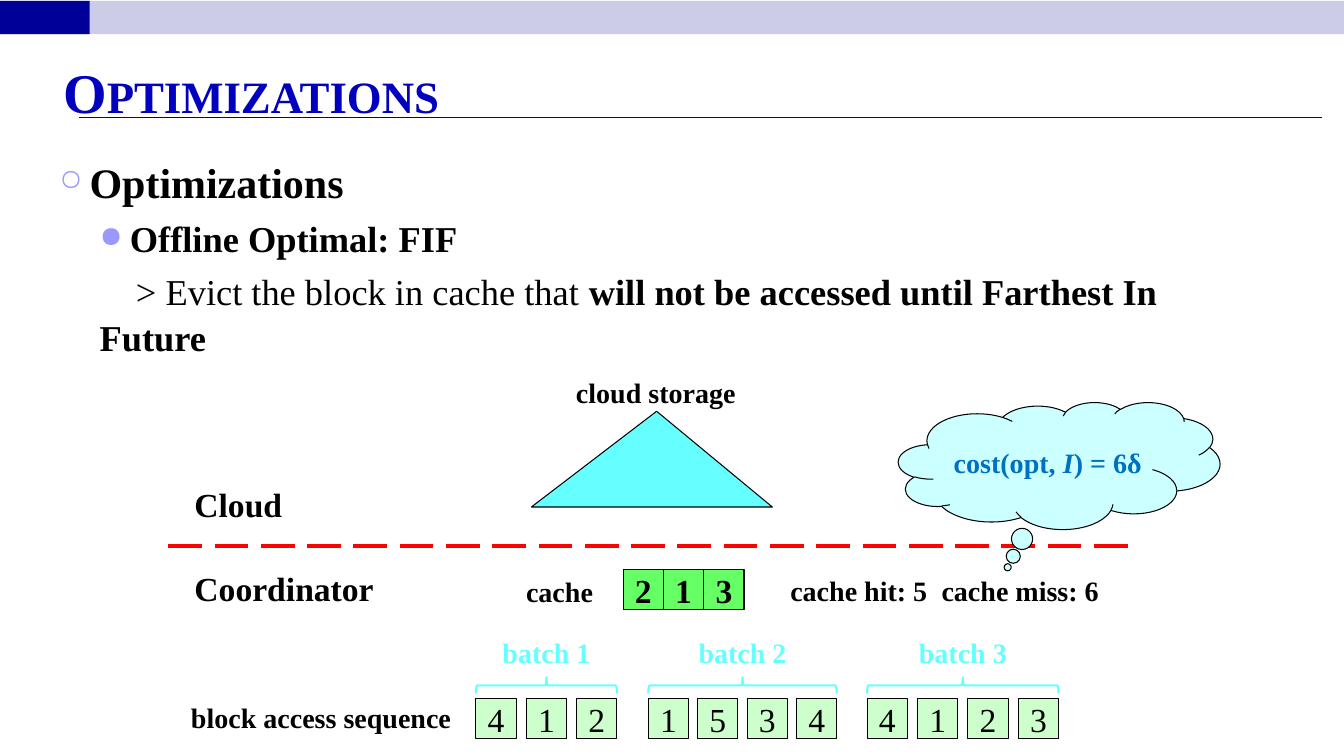
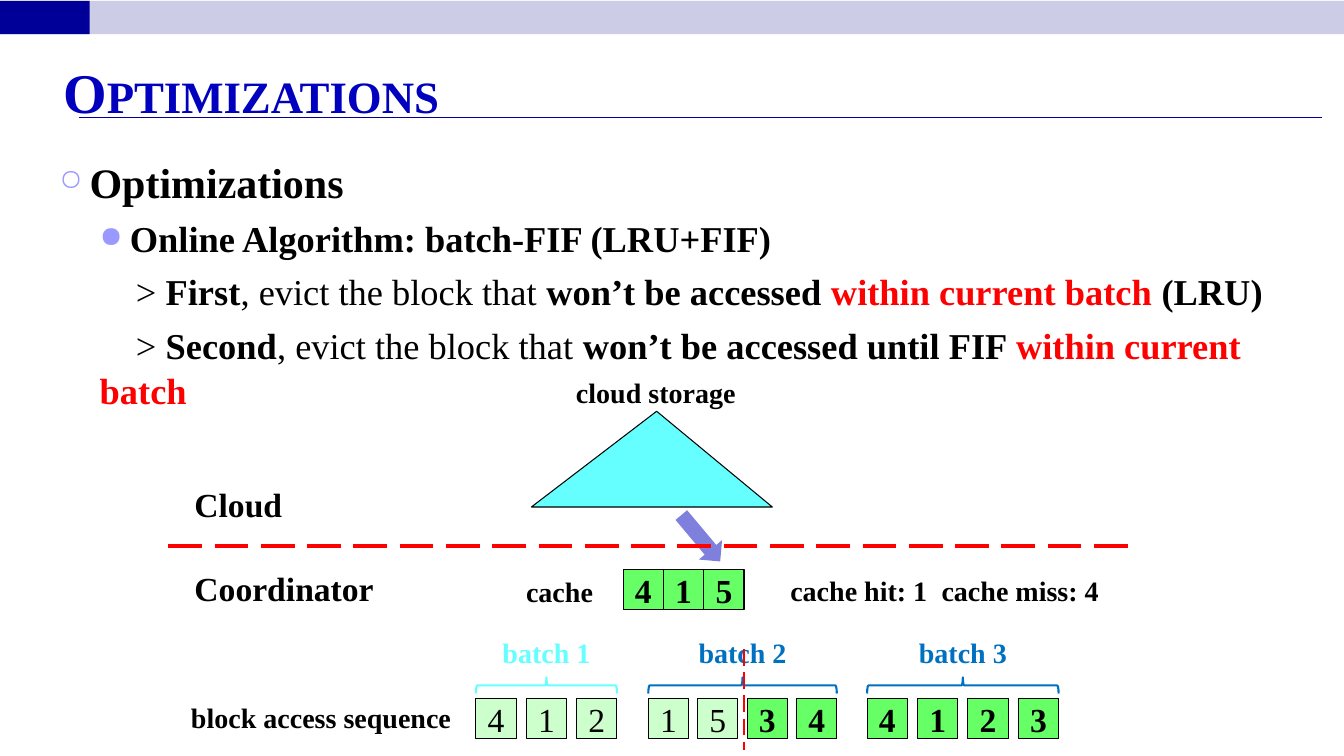
from lxml.etree import SubElement
from pptx import Presentation
from pptx.dml.color import RGBColor
from pptx.enum.dml import MSO_LINE
from pptx.enum.shapes import MSO_CONNECTOR, MSO_SHAPE
from pptx.enum.text import MSO_ANCHOR, PP_ALIGN
from pptx.oxml.ns import qn
from pptx.util import Inches, Pt

W, H = 13.33, 7.5
FONT = "Times New Roman"
C = {"band": "CCCCE6", "navy": "000099", "title": "0000BE", "bullet": "9999FF",
     "black": "000000", "white": "FFFFFF", "red": "FF0000", "blue": "0070C0",
     "cyan": "66FFFF", "sky": "CCFFFF", "done": "CCFFCC", "live": "66FF66"}

# Content: a run is plain text or (text, format)
B = {"bold": True}
RED = {"bold": True, "color": "red"}
SLIDES = [
    {"width": 11.97,
     "strategy": "Offline Optimal: FIF",
     "steps": [["> Evict the block in cache that ",
                ("will not be accessed until Farthest In Future", B)]],
     "cache": "213", "hits": 5, "misses": 6, "accessed": 11, "batches_seen": 3,
     "cost": ["cost(opt, ", ("I", {"italic": True}), ") = 6δ"]},
    {"width": 12.25,
     "strategy": "Online Algorithm: batch-FIF (LRU+FIF)",
     "steps": [["> ", ("First", B), ", evict the block that ",
                ("won’t be accessed ", B), ("within current batch ", RED), ("(LRU)", B)],
               ["> ", ("Second", B), ", evict the block that ",
                ("won’t be accessed until FIF ", B), ("within current batch", RED)]],
     "cache": "415", "hits": 1, "misses": 4, "accessed": 5, "batches_seen": 1,
     "fetch": True},
]
# Batches: left edge, distance between blocks, block numbers
BATCHES = [(4.72, 0.5, "412"), (6.43, 0.49, "1534"), (8.6, 0.5, "4123")]
CELL, CACHE_LEFT, CACHE_TOP, SEQ_TOP = 0.4, 6.18, 5.65, 6.93
BRACE_DEPTH, BRACE_MID = 0.16, 6.8
LABEL_H = 0.44


def rgb(name):
    return RGBColor.from_string(C[name])


def write(p, runs, size=20, color="black", bold=False, italic=False, caps=False,
          align=None, before=0, margin=0, indent=0, bullet=None, tab=None, spacing=None):
    """Fill one paragraph with formatted runs."""
    pPr = p._p.get_or_add_pPr()
    pPr.set("marL", str(Inches(margin)))
    pPr.set("indent", str(Inches(indent)))
    if spacing:
        p.line_spacing = spacing
    p.space_before = Pt(before)
    if align:
        p.alignment = align
    if bullet:
        char, percent = bullet
        SubElement(SubElement(pPr, qn("a:buClr")), qn("a:srgbClr")).set("val", C["bullet"])
        SubElement(pPr, qn("a:buSzPct")).set("val", str(percent * 1000))
        SubElement(pPr, qn("a:buChar")).set("char", char)
    if tab:
        stop = SubElement(SubElement(pPr, qn("a:tabLst")), qn("a:tab"))
        stop.set("pos", str(Inches(tab)))
        stop.set("algn", "l")
    for run in [runs] if isinstance(runs, str) else runs:
        text, own = (run, {}) if isinstance(run, str) else run
        r = p.add_run()
        r.text = text
        f = r.font
        f.name, f.size = FONT, Pt(size)
        f.bold = own.get("bold", bold)
        f.italic = own.get("italic", italic)
        f.color.rgb = rgb(own.get("color", color))
        if caps:
            r._r.get_or_add_rPr().set("cap", "small")


def text_box(s, x, y, w, h, runs=None, anchor=MSO_ANCHOR.MIDDLE, **fmt):
    tf = s.shapes.add_textbox(Inches(x), Inches(y), Inches(w), Inches(h)).text_frame
    tf.word_wrap = True
    tf.vertical_anchor = anchor
    if runs:
        write(tf.paragraphs[0], runs, **fmt)
    return tf


def label(s, x, y, w, text, h=LABEL_H, align=PP_ALIGN.CENTER, **fmt):
    text_box(s, x, y, w, h, text, bold=True, align=align, **fmt)


def shape(s, kind, x, y, w, h, fill, line=None, weight=0.75, adjust=(), rotation=0,
          runs=None, **fmt):
    sp = s.shapes.add_shape(kind, Inches(x), Inches(y), Inches(w), Inches(h))
    sp.shadow.inherit = False
    sp.rotation = rotation
    for i, value in enumerate(adjust):
        sp.adjustments[i] = value
    sp.fill.solid()
    sp.fill.fore_color.rgb = rgb(fill)
    if line:
        sp.line.color.rgb = rgb(line)
        sp.line.width = Pt(weight)
    else:
        sp.line.fill.background()
    if runs:
        tf = sp.text_frame
        tf.word_wrap = True
        tf.margin_left = tf.margin_right = tf.margin_top = tf.margin_bottom = 0
        tf.vertical_anchor = MSO_ANCHOR.MIDDLE
        write(tf.paragraphs[0], runs, align=PP_ALIGN.CENTER, **fmt)
    return sp


def line(s, x1, y1, x2, y2, color, weight, dash=None):
    ln = s.shapes.add_connector(MSO_CONNECTOR.STRAIGHT, Inches(x1), Inches(y1),
                                Inches(x2), Inches(y2))
    ln.line.color.rgb = rgb(color)
    ln.line.width = Pt(weight)
    if dash:
        ln.line.dash_style = dash
    SubElement(ln._element.spPr, qn("a:effectLst"))


def block(s, x, y, number, live):
    shape(s, MSO_SHAPE.RECTANGLE, x, y, CELL, CELL, "live" if live else "done", "black",
          runs=number, size=24, bold=live)


def frame(s):
    """Band, title and rule shared by all slides."""
    for w, color in ((W, "band"), (0.89, "navy")):
        shape(s, MSO_SHAPE.RECTANGLE, 0, 0.01, w, 0.33, color)
    line(s, 0.78, 1.17, 13.11, 1.17, "navy", 0.75)
    text_box(s, 0.53, 0.52, 12.25, 0.74, "Optimizations", anchor=MSO_ANCHOR.TOP,
             size=40, color="title", bold=True, caps=True)


def body(s, d):
    tf = text_box(s, 0.49, 1.48, d["width"], 5.4, anchor=MSO_ANCHOR.TOP)
    write(tf.paragraphs[0], "Optimizations", size=30, bold=True, margin=0.3, indent=-0.3,
          bullet=("○", 70), spacing=1.05)
    level2 = {"size": 26, "before": 5.2, "spacing": 1.05}
    write(tf.add_paragraph(), d["strategy"], bold=True, margin=0.7, indent=-0.3,
          bullet=("●", 80), **level2)
    for step in d["steps"]:
        write(tf.add_paragraph(), step, margin=0.4, indent=0.36, **level2)


def sequence(s, d):
    label(s, 1.73, 6.9, 2.91, "block access sequence")
    position = 0
    for i, (left, pitch, numbers) in enumerate(BATCHES):
        for j, number in enumerate(numbers):
            block(s, left + j * pitch, SEQ_TOP, number, position >= d["accessed"])
            position += 1
        # Brace and name centred over the batch
        color = "cyan" if i < d["batches_seen"] else "blue"
        span = (len(numbers) - 1) * pitch + CELL
        mid = left + span / 2
        shape(s, MSO_SHAPE.RIGHT_BRACE, mid - BRACE_DEPTH / 2, BRACE_MID - span / 2,
              BRACE_DEPTH, span, "white", color, 1.5, rotation=270)
        label(s, mid - 0.77, 6.25, 1.54, f"batch {i + 1}", color=color)


def diagram(s, d):
    if d.get("fetch"):
        arrow = shape(s, MSO_SHAPE.RIGHT_ARROW, 6.65, 5.19, 0.6, 0.3, "title", rotation=50)
        color = arrow._element.spPr.find(qn("a:solidFill"))[0]
        SubElement(color, qn("a:alpha")).set("val", "50000")
    sequence(s, d)
    # Cache
    label(s, 5.1, CACHE_TOP, 0.9, "cache")
    for i, number in enumerate(d["cache"]):
        block(s, CACHE_LEFT + i * CELL, CACHE_TOP, number, True)
    # Cloud above the border, coordinator below
    shape(s, MSO_SHAPE.ISOSCELES_TRIANGLE, 5.27, 4.08, 2.39, 0.95, "cyan", "black",
          adjust=[0.52])
    for y, w, name in ((5.58, 2.01, "Coordinator"), (4.75, 1.14, "Cloud")):
        label(s, 1.83, y, w, name, h=0.5, size=24, align=PP_ALIGN.LEFT)
    line(s, 1.67, 5.42, 11.25, 5.42, "red", 3, MSO_LINE.LONG_DASH)
    label(s, 5.43, 3.67, 2.15, "cloud storage")
    if d.get("fetch"):
        line(s, 7.38, 6.44, 7.38, 7.44, "red", 1.5, MSO_LINE.LONG_DASH)
    label(s, 7.74, 5.64, 3.4, f"cache hit: {d['hits']}\tcache miss: {d['misses']}",
          align=PP_ALIGN.LEFT, tab=1.49)
    if "cost" in d:
        shape(s, MSO_SHAPE.CLOUD_CALLOUT, 8.91, 3.99, 3.19, 1.26, "sky", "black",
              adjust=[-0.16, 0.8], runs=d["cost"], color="blue", bold=True)


def main():
    prs = Presentation()
    prs.slide_width, prs.slide_height = Inches(W), Inches(H)
    for d in SLIDES:
        s = prs.slides.add_slide(prs.slide_layouts[6])
        frame(s)
        body(s, d)
        diagram(s, d)
    prs.save("out.pptx")


if __name__ == "__main__":
    main()
